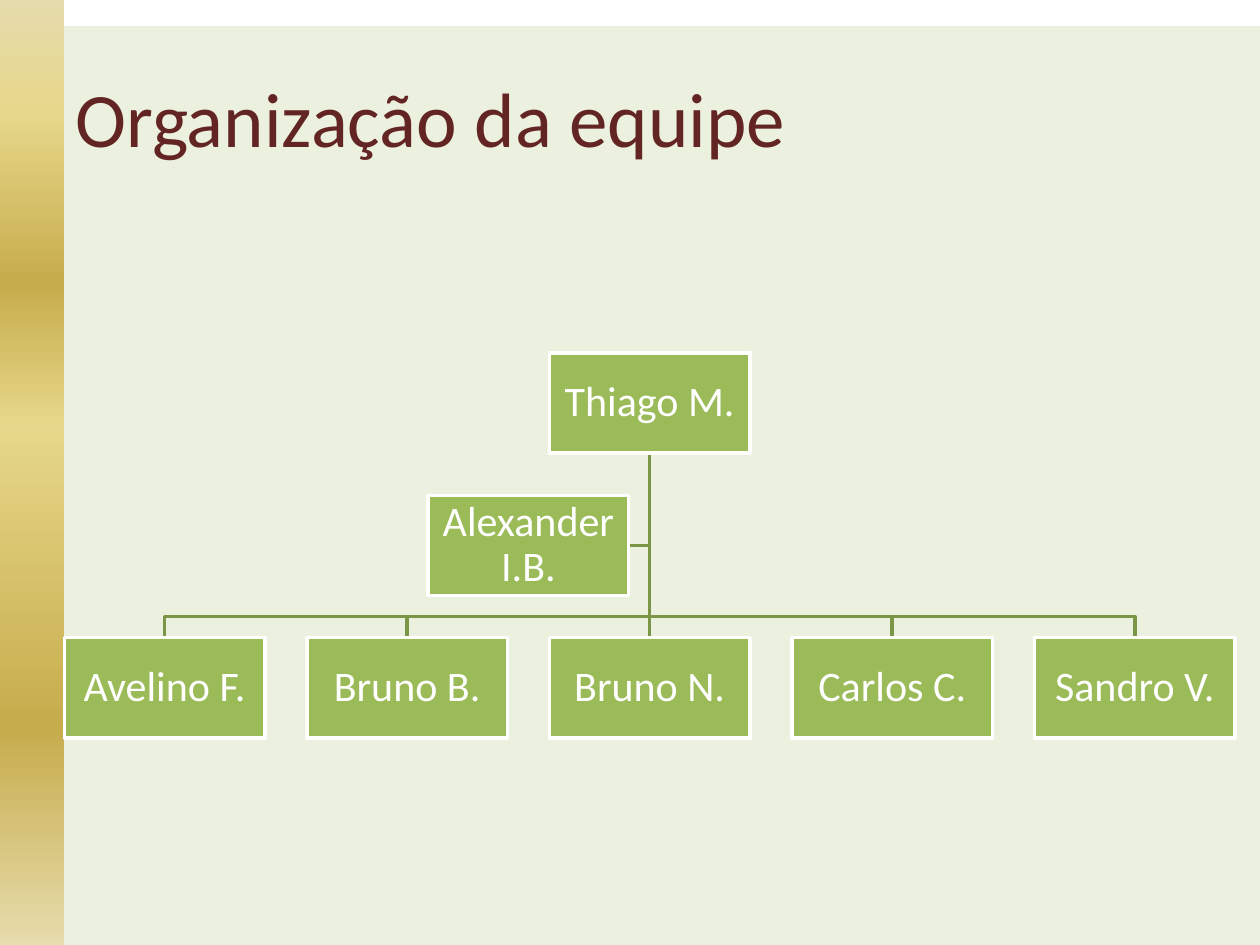
from lxml.etree import SubElement
from pptx import Presentation
from pptx.dml.color import RGBColor
from pptx.enum.shapes import MSO_CONNECTOR, MSO_SHAPE
from pptx.enum.text import MSO_ANCHOR, PP_ALIGN
from pptx.oxml.ns import qn
from pptx.util import Pt

COLORS = {
    "panel": "EBF1DE",
    "title": "632523",
    "box": "9BBB59",
    "branch": "7C9647",
    "white": "FFFFFF",
    "pale": "E6DCAC",
    "light": "E6D78A",
    "gold": "C7AC4C",
}
GOLD_STOPS = [(0, "pale"), (12, "light"), (30, "gold"),
              (45, "light"), (77, "gold"), (100, "pale")]
FONT = "Calibri"
LEADER = "Thiago M."
ASSISTANT = "Alexander I.B."
MEMBERS = ["Avelino F.", "Bruno B.", "Bruno N.", "Carlos C.", "Sandro V."]


def color(name):
    """Return the named colour."""
    return RGBColor.from_string(COLORS[name])


def add_rectangle(slide, left, top, width, height):
    """Add a rectangle without line or shadow."""
    shape = slide.shapes.add_shape(
        MSO_SHAPE.RECTANGLE, Pt(left), Pt(top), Pt(width), Pt(height))
    shape.shadow.inherit = False
    shape.line.fill.background()
    return shape


def add_run(paragraph, text, size, color_name):
    """Add one formatted run to a paragraph."""
    run = paragraph.add_run()
    run.text = text
    run.font.name = FONT
    run.font.size = Pt(size)
    run.font.color.rgb = color(color_name)


def add_background(slide, left, top, width, height):
    """Place the golden band and the pale panel beside it."""
    band_width, panel_gap = 36.75, 15
    band = add_rectangle(slide, left, top, band_width, height)
    band.fill.gradient()
    band.fill.gradient_angle = 270
    stops = next(band._element.spPr.iter(qn("a:gsLst")))
    for stop in list(stops):
        stops.remove(stop)
    for position, name in GOLD_STOPS:
        stop = SubElement(stops, qn("a:gs"), pos=str(position * 1000))
        SubElement(stop, qn("a:srgbClr"), val=COLORS[name])

    panel = add_rectangle(slide, left + band_width, top + panel_gap,
                          width - band_width, height - panel_gap)
    panel.fill.solid()
    panel.fill.fore_color.rgb = color("panel")


def add_title(slide, left, top, width, height):
    """Place the slide title."""
    title = slide.shapes.add_textbox(Pt(left), Pt(top), Pt(width), Pt(height))
    frame = title.text_frame
    frame.word_wrap = True
    frame.vertical_anchor = MSO_ANCHOR.MIDDLE
    add_run(frame.paragraphs[0], "Organização da equipe", 44, "title")


def style_branch(branch):
    """Give a branch its colour and weight."""
    branch.line.color.rgb = color("branch")
    branch.line.width = Pt(2)


def add_bent_branch(slide, points):
    """Draw an open line through the given points."""
    start, *rest = [(Pt(x), Pt(y)) for x, y in points]
    builder = slide.shapes.build_freeform(*start)
    builder.add_line_segments(rest, close=False)
    branch = builder.convert_to_shape()
    branch.shadow.inherit = False
    branch.fill.background()
    style_branch(branch)


def add_person(slide, name, left, top, width, height):
    """Place one box with a person's name."""
    box = add_rectangle(slide, left, top, width, height)
    box.fill.solid()
    box.fill.fore_color.rgb = color("box")
    box.line.color.rgb = color("white")
    box.line.width = Pt(2)
    frame = box.text_frame
    frame.word_wrap = True
    frame.vertical_anchor = MSO_ANCHOR.MIDDLE
    frame.margin_left = frame.margin_right = Pt(1.2)
    frame.margin_top = frame.margin_bottom = Pt(1.2)
    paragraph = frame.paragraphs[0]
    paragraph.alignment = PP_ALIGN.CENTER
    paragraph.line_spacing = 0.9
    add_run(paragraph, name, 24, "white")
    return box


def add_organization_chart(slide, left, top, width, height):
    """Place the leader, the assistant and the row of members."""
    box_width, box_height, gap = 114.6, 57.4, 12
    center = left + width / 2
    leader_bottom = top + box_height
    assistant_top = top + (height - box_height) / 2
    assistant_middle = assistant_top + box_height / 2
    members_top = top + height - box_height
    bus = members_top - gap
    step = (width - box_width) / (len(MEMBERS) - 1)
    member_lefts = [left + index * step for index in range(len(MEMBERS))]
    middle = len(MEMBERS) // 2

    add_bent_branch(slide, [(center, leader_bottom), (center, assistant_middle),
                            (center - gap, assistant_middle)])
    for index, member_left in enumerate(member_lefts):
        if index != middle:
            x = member_left + box_width / 2
            add_bent_branch(slide, [(center, leader_bottom), (center, bus),
                                    (x, bus), (x, members_top)])
    trunk = slide.shapes.add_connector(
        MSO_CONNECTOR.STRAIGHT, Pt(center), Pt(leader_bottom),
        Pt(center), Pt(members_top))
    SubElement(trunk._element.spPr, qn("a:effectLst"))
    style_branch(trunk)

    leader = add_person(slide, LEADER, center - box_width / 2, top,
                        box_width, box_height)
    members = [add_person(slide, name, member_left, members_top,
                          box_width, box_height)
               for name, member_left in zip(MEMBERS, member_lefts)]
    add_person(slide, ASSISTANT, center - gap - box_width, assistant_top,
               box_width, box_height)
    trunk.begin_connect(leader, 2)
    trunk.end_connect(members[middle], 0)


def main():
    """Build and save the presentation."""
    presentation = Presentation()
    presentation.slide_width = Pt(720)
    presentation.slide_height = Pt(540)
    slide = presentation.slides.add_slide(presentation.slide_layouts[6])
    add_background(slide, 0, 0, 720, 540)
    add_title(slide, 36, 21.6, 648, 90)
    add_organization_chart(slide, 36.75, 201.6, 669, 220.2)
    presentation.save("out.pptx")


if __name__ == "__main__":
    main()
